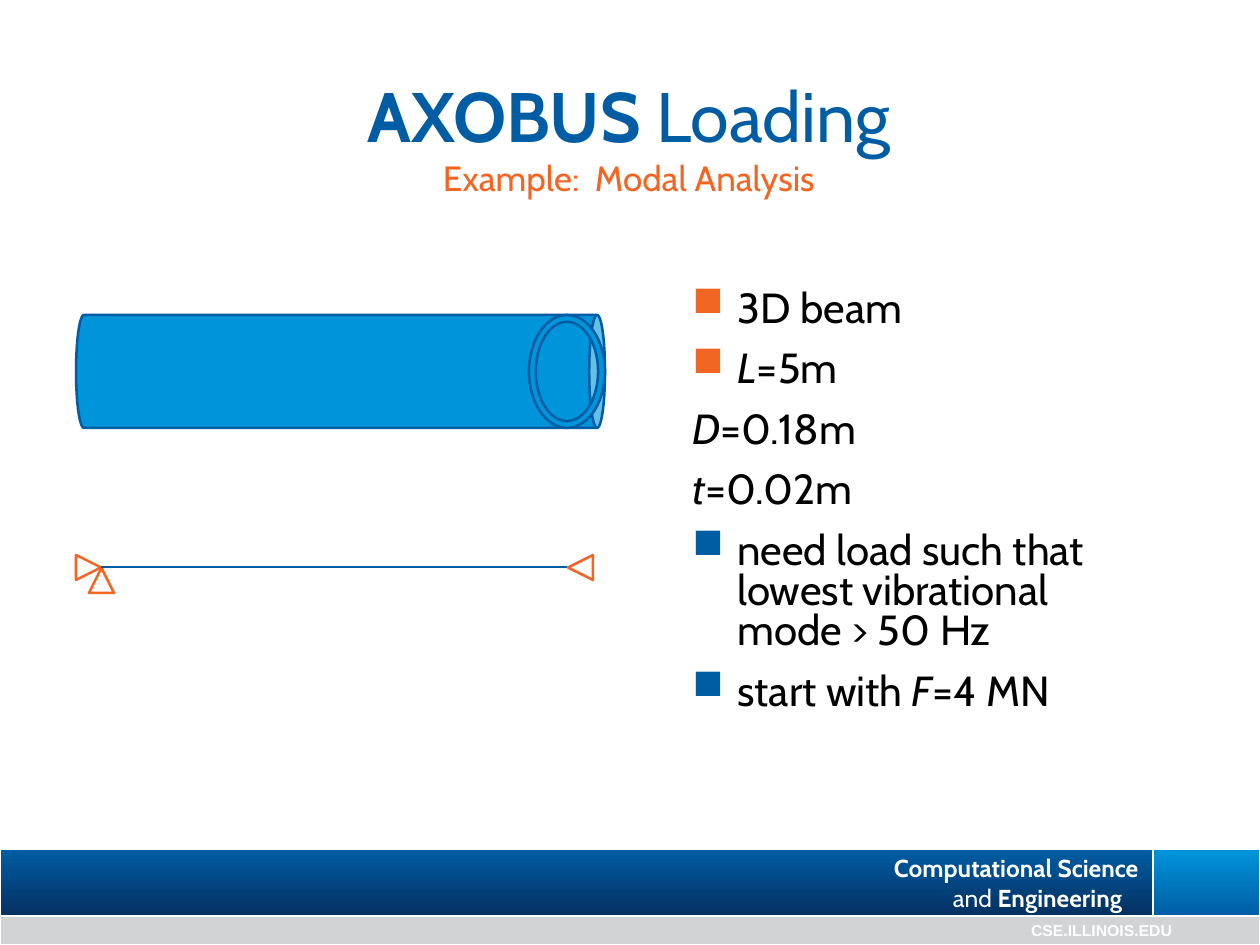
from dataclasses import dataclass

from lxml.etree import SubElement
from pptx import Presentation
from pptx.dml.color import RGBColor
from pptx.enum.shapes import MSO_CONNECTOR, MSO_SHAPE
from pptx.enum.text import MSO_ANCHOR, PP_ALIGN
from pptx.oxml.ns import qn
from pptx.util import Emu, Pt

PX = 914400 // 126


@dataclass(frozen=True)
class Theme:
    blue: str = "005DA4"
    navy: str = "053061"
    sky: str = "0095DA"
    orange: str = "F26522"
    gray: str = "D1D3D4"
    white: str = "FFFFFF"
    black: str = "000000"
    font: str = "Cabin"
    web_font: str = "Arial"
    title: int = 40
    subtitle: int = 20
    body: int = 24
    unit: int = 14
    web: int = 9
    line: float = 1.45


T = Theme()


def px(n):
    return Emu(n * PX)


def rgb(color):
    return RGBColor.from_string(color)


def add_shape(slide, kind, box, fill, line, rotation=0, adj=None):
    """Preset shape; a pair of fill colours gives a vertical gradient."""
    sp = slide.shapes.add_shape(kind, *map(px, box))
    sp.shadow.inherit = False
    sp.rotation = rotation
    if adj is not None:
        sp.adjustments[0] = adj
    if isinstance(fill, tuple):
        sp.fill.gradient()
        sp.fill.gradient_angle = 270
        for stop, color in zip(sp.fill.gradient_stops, fill):
            stop.color.rgb = rgb(color)
    else:
        sp.fill.solid()
        sp.fill.fore_color.rgb = rgb(fill)
    sp.line.color.rgb = rgb(line)
    sp.line.width = Pt(T.line)
    return sp


def add_line(slide, start, end, color):
    ln = slide.shapes.add_connector(MSO_CONNECTOR.STRAIGHT, *map(px, start + end))
    ln.line.color.rgb = rgb(color)
    ln.line.width = Pt(T.line)
    SubElement(ln._element.spPr, qn("a:effectLst"))


def add_textbox(slide, box):
    tf = slide.shapes.add_textbox(*map(px, box)).text_frame
    tf.word_wrap = True
    return tf


def add_text(tf, runs, size, color, font=T.font, align=PP_ALIGN.LEFT,
             left=0, hang=0, bullet=None, spacing=None, after=None):
    """One paragraph; runs are (text, style) with style "", "b" or "i"."""
    first = tf.paragraphs[0]
    p = tf.add_paragraph() if first.runs else first
    pPr = p._p.get_or_add_pPr()
    pPr.set("marL", str(px(left)))
    pPr.set("indent", str(px(-hang)))
    if bullet:
        SubElement(SubElement(pPr, qn("a:buClr")), qn("a:srgbClr"), val=bullet)
        SubElement(pPr, qn("a:buChar"), char="■")
    else:
        SubElement(pPr, qn("a:buNone"))
    p.alignment = align
    if spacing:
        p.line_spacing = spacing
    if after:
        p.space_after = Pt(after)
    for text, style in runs:
        r = p.add_run()
        r.text = text
        r.font.name = font
        r.font.size = Pt(size)
        r.font.color.rgb = rgb(color)
        r.font.bold = style == "b"
        r.font.italic = style == "i"


def add_footer(slide):
    band = add_shape(slide, MSO_SHAPE.RECTANGLE, (0, 849, 1153, 67),
                     (T.blue, T.navy), T.white)
    add_shape(slide, MSO_SHAPE.RECTANGLE, (1153, 849, 107, 67),
              (T.sky, T.blue), T.white)
    strip = add_shape(slide, MSO_SHAPE.RECTANGLE, (0, 916, 1260, 29),
                      T.gray, T.white)
    for sp, right in ((band, 0), (strip, 88)):
        tf = sp.text_frame
        tf.vertical_anchor = MSO_ANCHOR.MIDDLE
        tf.margin_left, tf.margin_right = px(14), px(right)
        tf.margin_top = tf.margin_bottom = px(0)
    # Unit name, stepped by indents
    add_text(band.text_frame, [("Computational Science", "b")],
             T.unit, T.white, left=880)
    add_text(band.text_frame, [("and ", ""), ("Engineering", "b")],
             T.unit, T.white, left=939)
    add_text(strip.text_frame, [("CSE.ILLINOIS.EDU", "b")],
             T.web, T.white, font=T.web_font, align=PP_ALIGN.RIGHT)


def add_support(slide, center, rotation):
    size = 25
    x, y = (c - size // 2 for c in center)
    add_shape(slide, MSO_SHAPE.ISOSCELES_TRIANGLE, (x, y, size, size),
              T.white, T.orange, rotation)


def main():
    prs = Presentation()
    prs.slide_width, prs.slide_height = px(1260), px(945)
    slide = prs.slides.add_slide(prs.slide_layouts[6])
    add_footer(slide)

    # Tube
    add_shape(slide, MSO_SHAPE.CAN, (284, 107, 113, 529), T.sky, T.blue,
              rotation=90, adj=0.14)

    # Title
    tf = add_textbox(slide, (-1, 66, 1260, 97))
    add_text(tf, [("AXOBUS", "b"), (" Loading", "")], T.title, T.blue,
             align=PP_ALIGN.CENTER)
    add_text(tf, [("Example:  Modal Analysis", "")], T.subtitle, T.orange,
             align=PP_ALIGN.CENTER)

    # Beam data
    tf = add_textbox(slide, (680, 285, 466, 304))
    for bullet, runs in (
        (T.orange, [("3D beam", "")]),
        (T.orange, [("L", "i"), ("=5m", "")]),
        (None, [("D", "i"), ("=0.18m", "")]),
        (None, [("t", "i"), ("=0.02m", "")]),
        (T.blue, [("need load such that lowest vibrational mode > 50 Hz", "")]),
        (T.blue, [("start with ", ""), ("F", "i"), ("=4 MN", "")]),
    ):
        add_text(tf, runs, T.body, T.black, left=45, hang=45, bullet=bullet,
                 spacing=0.8, after=11.5)

    # Tube section
    add_shape(slide, MSO_SHAPE.DONUT, (529, 315, 76, 113), T.sky, T.blue, adj=0.09)

    # Beam with its supports
    add_support(slide, (101, 580), 0)
    add_support(slide, (88, 567), 90)
    add_line(slide, (101, 567), (567, 567), T.blue)
    add_support(slide, (580, 567), 270)

    prs.save("out.pptx")


if __name__ == "__main__":
    main()
